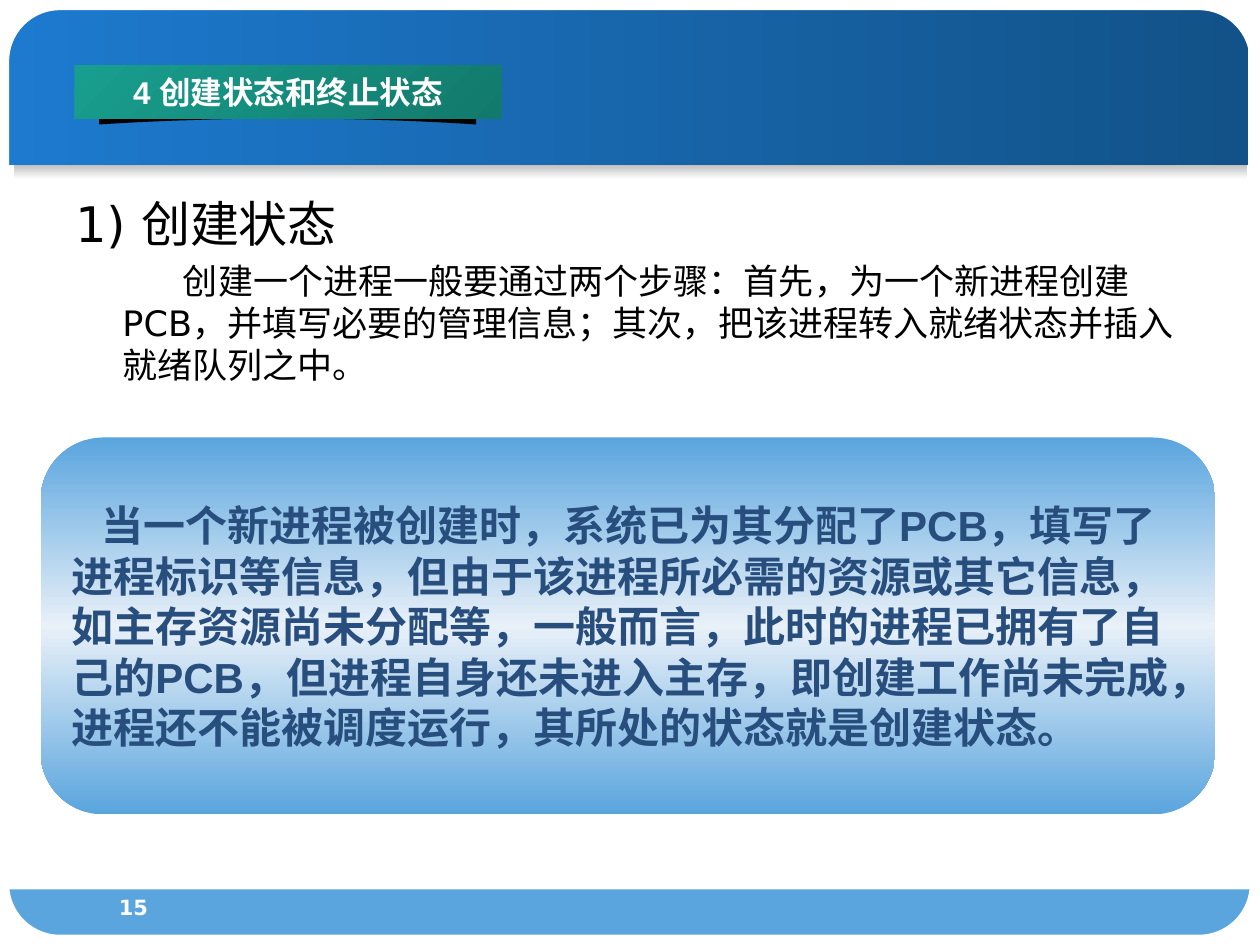
"""Build the slide on the creation and termination states of a process."""
from lxml.etree import SubElement
from pptx import Presentation
from pptx.dml.color import RGBColor
from pptx.enum.shapes import MSO_SHAPE
from pptx.enum.text import MSO_ANCHOR, MSO_AUTO_SIZE, PP_ALIGN
from pptx.oxml.ns import qn
from pptx.util import Cm, Pt

COLORS = {
    "header_light": "1D7ACF", "header_dark": "125288",
    "banner_light": "189E8E", "banner_dark": "127A6C",
    "blue": "5AA5DE", "pale": "E8F0F8", "navy": "274E7D",
    "gray": "C0C0C0", "white": "FFFFFF", "black": "000000",
}


def paint(shape, names, angle=0):
    """Fill a shape with one colour or an even gradient, without line or shadow."""
    shape.shadow.inherit = False
    shape.line.fill.background()
    if len(names) == 1:
        shape.fill.solid()
        shape.fill.fore_color.rgb = RGBColor.from_string(COLORS[names[0]])
        return
    shape.fill.gradient()
    shape.fill.gradient_angle = -angle % 360
    stops = shape._element.spPr.find(qn("a:gradFill")).find(qn("a:gsLst"))
    for stop in list(stops):
        stops.remove(stop)
    for index, name in enumerate(names):
        position = 100000 * index // (len(names) - 1)
        stop = SubElement(stops, qn("a:gs"), pos=str(position))
        SubElement(stop, qn("a:srgbClr"), val=COLORS[name])


def style(paragraph, font_name, size, color, bold=False, align=PP_ALIGN.LEFT):
    """Set the font and alignment of a paragraph."""
    paragraph.alignment = align
    paragraph.font.name = font_name
    paragraph.font.size = Pt(size)
    paragraph.font.bold = bold
    paragraph.font.color.rgb = RGBColor.from_string(COLORS[color])


presentation = Presentation()
presentation.slide_width, presentation.slide_height = Cm(25.4), Cm(19.05)
slide = presentation.slides.add_slide(presentation.slide_layouts[5])
shapes = slide.shapes

bands = [
    (0, 0.03, 25.17, 3.3, ["header_light", "header_dark"], 0),
    (0, 17.93, 25.35, 1.12, ["blue"], 0),
    (0.28, 3.33, 24.87, 0.28, ["gray", "white"], 90),
]
for left, top, width, height, names, angle in bands:
    band = shapes.add_shape(MSO_SHAPE.RECTANGLE, Cm(left), Cm(top), Cm(width), Cm(height))
    paint(band, names, angle)

frame = shapes.add_shape(MSO_SHAPE.ROUNDED_RECTANGLE, Cm(0.08), Cm(0.1), Cm(25.22), Cm(18.85))
frame.adjustments[0] = 0.06
frame.shadow.inherit = False
frame.fill.background()
frame.line.color.rgb = RGBColor.from_string(COLORS["white"])
frame.line.width = Pt(6)

corner_outline = [(0, 1.25), (0.35, 0.64), (0.7, 0.15), (1.22, 0), (0, 0)]
for right in (False, True):
    for bottom in (False, True):
        points = [(Cm(25.4 - x if right else x), Cm(19.05 - y if bottom else y))
                  for x, y in corner_outline]
        builder = shapes.build_freeform(*points[0])
        builder.add_line_segments(points[1:], close=True)
        paint(builder.convert_to_shape(), ["white"])

number_box = shapes.add_textbox(Cm(1.42), Cm(17.91), Cm(2.54), Cm(0.89))
number_box.text_frame.text = "15"
style(number_box.text_frame.paragraphs[0], "DejaVu Sans", 12, "white", True, PP_ALIGN.CENTER)

panel = shapes.add_shape(MSO_SHAPE.ROUNDED_RECTANGLE, Cm(0.82), Cm(8.82), Cm(23.68), Cm(7.6))
paint(panel, ["blue", "pale", "blue"], 90)
panel.text_frame.word_wrap = False
panel.text_frame.vertical_anchor = MSO_ANCHOR.MIDDLE
panel.text_frame.text = "\n".join([
    "当一个新进程被创建时，系统已为其分配了PCB，填写了",
    "进程标识等信息，但由于该进程所必需的资源或其它信息，",
    "如主存资源尚未分配等，一般而言，此时的进程已拥有了自",
    "己的PCB，但进程自身还未进入主存，即创建工作尚未完成，",
    "进程还不能被调度运行，其所处的状态就是创建状态。",
])
for paragraph in panel.text_frame.paragraphs:
    style(paragraph, "Arial", 24, "navy", True)
panel.text_frame.paragraphs[0]._p.get_or_add_pPr().set("indent", str(Cm(0.6)))

body = shapes.add_textbox(Cm(1.27), Cm(3.78), Cm(22.86), Cm(5.74))
body.text_frame.word_wrap = True
body.text_frame.text = "\n".join([
    "1) 创建状态",
    "创建一个进程一般要通过两个步骤：首先，为一个新进程创建PCB，并填写必要的管理信息；"
    "其次，把该进程转入就绪状态并插入就绪队列之中。",
])
for paragraph, size, indent in zip(body.text_frame.paragraphs, (28, 20), (-0.95, 1.22)):
    style(paragraph, "DejaVu Sans", size, "black")
    paragraph.space_before = Pt(size * 0.2)
    properties = paragraph._p.get_or_add_pPr()
    properties.set("marL", str(Cm(0.95)))
    properties.set("indent", str(Cm(indent)))

arc_steps = 20
arc = [(Cm(2 + 7.6 * step / arc_steps),
        Cm(2.39 + 0.12 * (2 * step / arc_steps - 1) ** 2))
       for step in range(arc_steps + 1)]
builder = shapes.build_freeform(Cm(2), Cm(2.13))
builder.add_line_segments([*arc, (Cm(9.6), Cm(2.13)), (Cm(5.8), Cm(2.01))], close=True)
paint(builder.convert_to_shape(), ["black"])

title = shapes.title
shapes._spTree.append(title._element)
title.left, title.top, title.width, title.height = Cm(1.5), Cm(1.32), Cm(8.61), Cm(1.07)
paint(title, ["banner_light", "banner_dark"], 45)
title.text_frame.text = "4 创建状态和终止状态"
title.text_frame.word_wrap = False
title.text_frame.auto_size = MSO_AUTO_SIZE.NONE
title.text_frame.vertical_anchor = MSO_ANCHOR.MIDDLE
style(title.text_frame.paragraphs[0], "Arial", 18, "white", True, PP_ALIGN.CENTER)

presentation.save("out.pptx")
